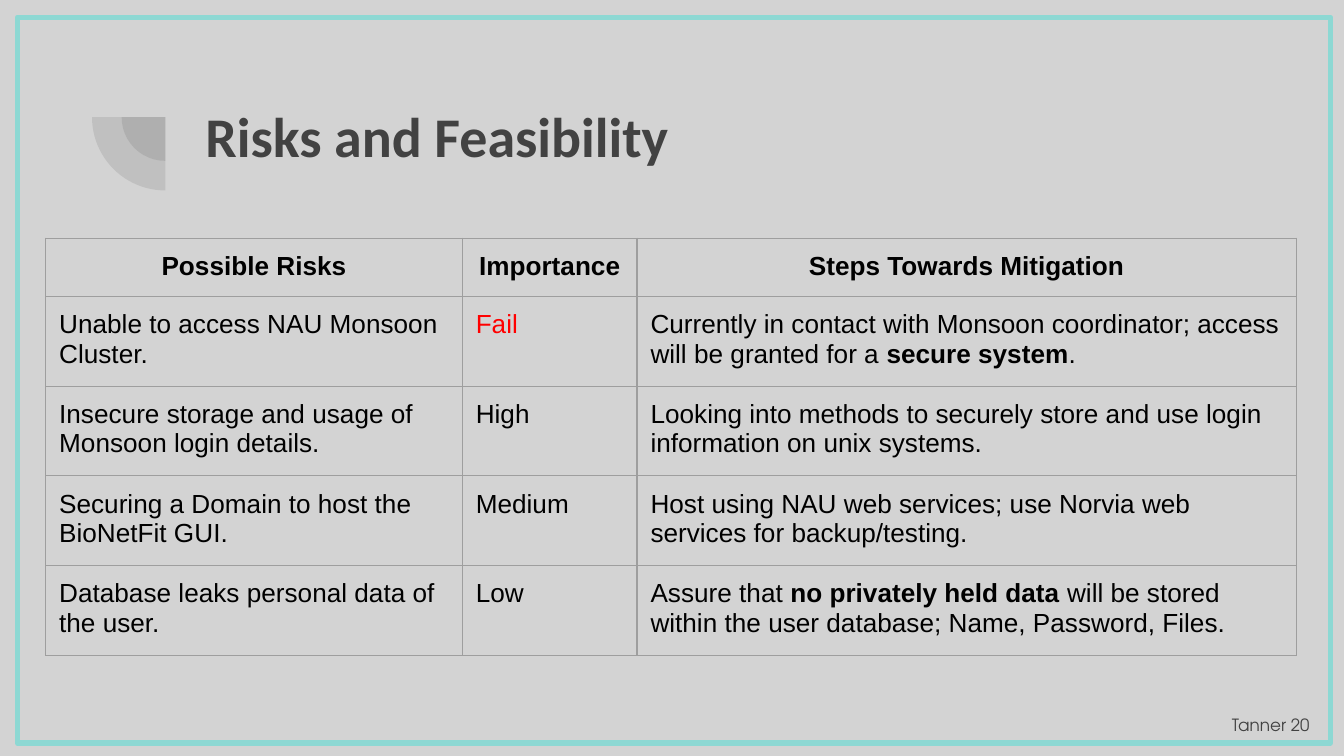
from lxml import etree
from pptx import Presentation
from pptx import util as u
from pptx.dml.color import RGBColor
from pptx.enum import shapes, text
from pptx.oxml.ns import qn

# Content: **double stars** mark bold words
TITLE = "Risks and Feasibility"
FOOTER = "Tanner 20"
HEADER = ("Possible Risks", "Importance", "Steps Towards Mitigation")
RISKS = [
    ("Unable to access NAU Monsoon Cluster.", "Fail",
     "Currently in contact with Monsoon coordinator; access will be granted "
     "for a **secure system**."),
    ("Insecure storage and usage of Monsoon login details.", "High",
     "Looking into methods to securely store and use login information on "
     "unix systems."),
    ("Securing a Domain to host the BioNetFit GUI.", "Medium",
     "Host using NAU web services; use Norvia web services for backup/testing."),
    ("Database leaks personal data of the user.", "Low",
     "Assure that **no privately held data** will be stored within the user "
     "database; Name, Password, Files."),
]

THEME = {
    "background": "D3D3D3", "frame": "8DD8D3", "dark": "424242",
    "body": "000000", "alert": "FF0000", "grid": "9E9E9E",
    "title_size": 30, "table_size": 14, "footer_size": 9,
    "title_font": "Calibri", "table_font": "Arial",
    "footer_font": "TeX Gyre Adventor",
    "frame_width": 3, "grid_width": 0.75, "inset": 0.1, "pie_opacity": 13,
}

# Layout, in percent of the slide's width (x) and height (y)
WIDTH = 10
HEIGHT = WIDTH * 9 / 16
FRAME = (1.3, 2.3, 97.7, 96)
TITLE_BOX = (14.3, 11.6, 76.9, 19.4)
FOOTER_BOX = (89.9, 92.1, 8.5, 7.6)
PIE_CENTRE = (12.3, 15.5)
PIE_DIAMETERS = (6.5, 10.9)
TABLE_ORIGIN = (3.4, 31.5)
COLUMNS = (31, 13, 49.05)
ROWS = (7.7,) + (11.75,) * len(RISKS)


def across(percent):
    return u.Inches(WIDTH * percent / 100)


def down(percent):
    return u.Inches(HEIGHT * percent / 100)


def place(box):
    left, top, width, height = box
    return across(left), down(top), across(width), down(height)


def color(name):
    return RGBColor.from_string(THEME[name])


def write(frame, words, font="table", ink="body", bold=False,
          align=text.PP_ALIGN.LEFT):
    """Fill a text frame; the bold words between stars become own runs."""
    frame.word_wrap = True
    paragraph = frame.paragraphs[0]
    paragraph.alignment = align
    for index, part in enumerate(words.split("**")):
        run = paragraph.add_run()
        run.text = part
        run.font.name = THEME[font + "_font"]
        run.font.size = u.Pt(THEME[font + "_size"])
        run.font.bold = bold or index % 2 == 1
        run.font.color.rgb = color(ink)


def add_text(slide, box, words, anchor=text.MSO_ANCHOR.TOP, **format):
    frame = slide.shapes.add_textbox(*place(box)).text_frame
    frame.margin_left = frame.margin_right = u.Inches(THEME["inset"])
    frame.margin_top = frame.margin_bottom = u.Inches(THEME["inset"])
    frame.vertical_anchor = anchor
    write(frame, words, **format)


def add_frame(slide):
    frame = slide.shapes.add_shape(shapes.MSO_SHAPE.RECTANGLE, *place(FRAME))
    frame.shadow.inherit = False
    frame.fill.background()
    frame.line.color.rgb = color("frame")
    frame.line.width = u.Pt(THEME["frame_width"])


def add_quarter_circles(slide):
    group = slide.shapes.add_group_shape()
    for percent in PIE_DIAMETERS:
        size = across(percent)
        left = across(PIE_CENTRE[0]) - size // 2
        top = down(PIE_CENTRE[1]) - size // 2
        pie = group.shapes.add_shape(shapes.MSO_SHAPE.PIE, left, top, size, size)
        pie.adjustments[0], pie.adjustments[1] = 108, 162
        pie.rotation = 270
        pie.shadow.inherit = False
        pie.line.fill.background()
        pie.fill.solid()
        pie.fill.fore_color.rgb = color("dark")
        tint = pie.fill._xPr.find(".//" + qn("a:srgbClr"))
        etree.SubElement(tint, qn("a:alpha"), val=str(THEME["pie_opacity"] * 1000))


def style_cell(cell):
    cell.margin_left = cell.margin_right = u.Inches(THEME["inset"])
    cell.margin_top = cell.margin_bottom = u.Inches(THEME["inset"])
    properties = cell._tc.get_or_add_tcPr()
    for side in ("lnL", "lnR", "lnT", "lnB"):
        border = etree.SubElement(properties, qn("a:" + side),
                                  w=str(u.Pt(THEME["grid_width"])))
        fill = etree.SubElement(border, qn("a:solidFill"))
        etree.SubElement(fill, qn("a:srgbClr"), val=THEME["grid"])
    cell.fill.background()


def add_risk_table(slide):
    box = (*TABLE_ORIGIN, sum(COLUMNS), sum(ROWS))
    table = slide.shapes.add_table(len(ROWS), len(COLUMNS), *place(box)).table
    table.first_row = table.horz_banding = False
    for column, width in zip(table.columns, COLUMNS):
        column.width = across(width)
    for row, height in zip(table.rows, ROWS):
        row.height = down(height)
    for r, record in enumerate([HEADER] + RISKS):
        for c, words in enumerate(record):
            cell = table.cell(r, c)
            style_cell(cell)
            write(cell.text_frame, words, bold=r == 0,
                  ink="alert" if words == "Fail" else "body",
                  align=text.PP_ALIGN.CENTER if r == 0 else text.PP_ALIGN.LEFT)


def main():
    presentation = Presentation()
    presentation.slide_width = u.Inches(WIDTH)
    presentation.slide_height = u.Inches(HEIGHT)
    slide = presentation.slides.add_slide(presentation.slide_layouts[6])
    slide.background.fill.solid()
    slide.background.fill.fore_color.rgb = color("background")

    # Decoration, then title, table and footer
    add_frame(slide)
    add_quarter_circles(slide)
    add_text(slide, TITLE_BOX, TITLE, font="title", ink="dark", bold=True)
    add_risk_table(slide)
    add_text(slide, FOOTER_BOX, FOOTER, anchor=text.MSO_ANCHOR.MIDDLE,
             font="footer", ink="dark", align=text.PP_ALIGN.RIGHT)
    presentation.save("out.pptx")


if __name__ == "__main__":
    main()
